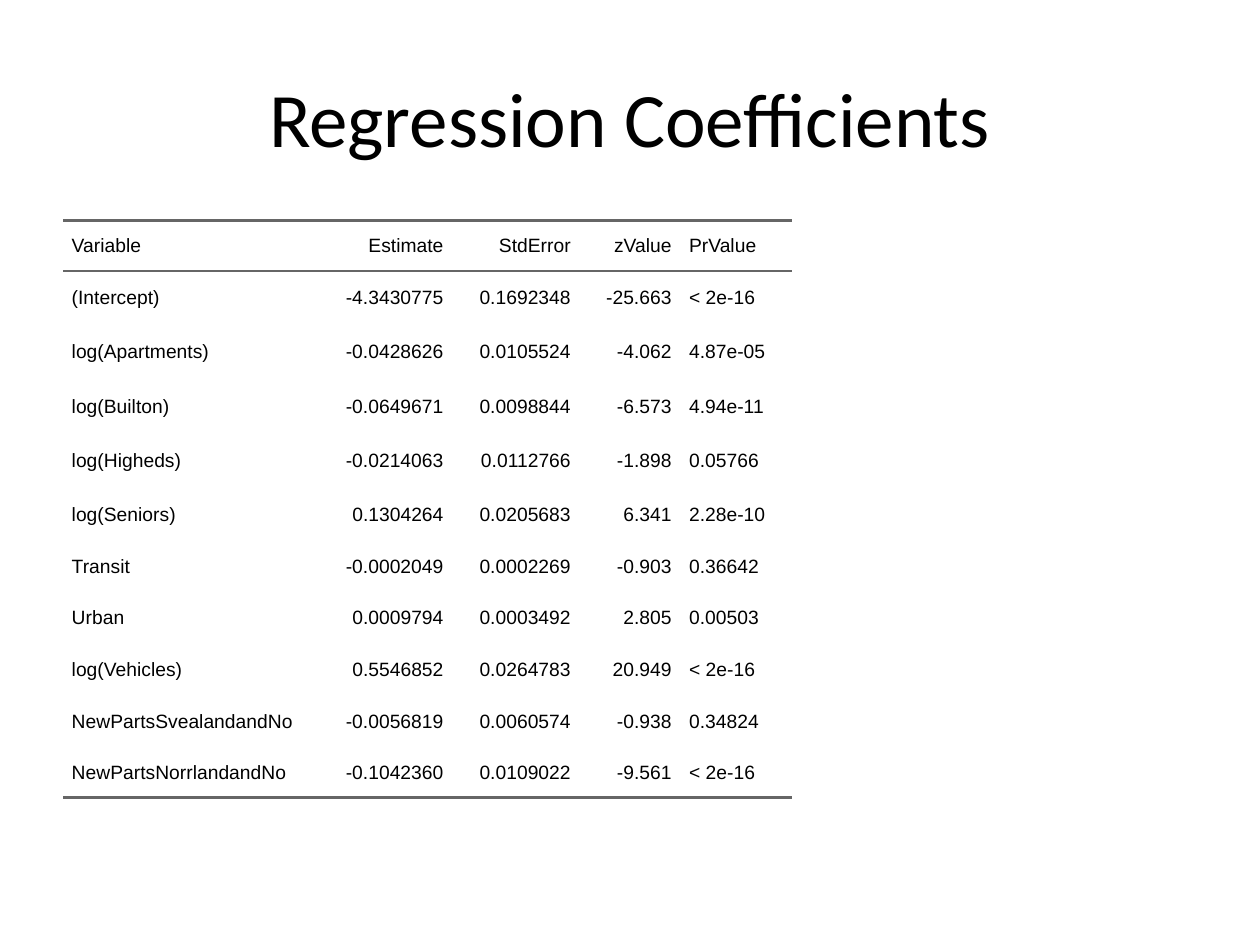
from lxml import etree
from pptx import Presentation
from pptx.dml.color import RGBColor
from pptx.enum.text import MSO_ANCHOR, PP_ALIGN
from pptx.oxml.ns import qn
from pptx.util import Inches, Pt

MIDDLE = MSO_ANCHOR.MIDDLE
LEFT, CENTER, RIGHT = PP_ALIGN.LEFT, PP_ALIGN.CENTER, PP_ALIGN.RIGHT
COLORS = {"text": "000000", "rule": "666666"}
PLAIN_STYLE = "{2D5ABB26-0587-4C30-8999-92F81FD0307C}"
PADDING = Pt(5)
MARGIN = 0.05
COL_WIDTHS = [2.03, 1.06, 1.01, 0.8, 0.89]
ALIGNMENTS = [LEFT, RIGHT, RIGHT, RIGHT, LEFT]
SHORT_ROW, TALL_ROW = 0.4, 0.43
COEFFICIENTS = [
    ["Variable", "Estimate", "StdError", "zValue", "PrValue"],
    ["(Intercept)", "-4.3430775", "0.1692348", "-25.663", "< 2e-16"],
    ["log(Apartments)", "-0.0428626", "0.0105524", "-4.062", "4.87e-05"],
    ["log(Builton)", "-0.0649671", "0.0098844", "-6.573", "4.94e-11"],
    ["log(Higheds)", "-0.0214063", "0.0112766", "-1.898", "0.05766"],
    ["log(Seniors)", "0.1304264", "0.0205683", "6.341", "2.28e-10"],
    ["Transit", "-0.0002049", "0.0002269", "-0.903", "0.36642"],
    ["Urban", "0.0009794", "0.0003492", "2.805", "0.00503"],
    ["log(Vehicles)", "0.5546852", "0.0264783", "20.949", "< 2e-16"],
    ["NewPartsSvealandandNo", "-0.0056819", "0.0060574", "-0.938", "0.34824"],
    ["NewPartsNorrlandandNo", "-0.1042360", "0.0109022", "-9.561", "< 2e-16"],
]


def write(tf, text, font="Arial", size=11, color="text", align=LEFT, padding=0):
    """Write one formatted paragraph into a text frame."""
    p = tf.paragraphs[0]
    p.alignment = align
    if padding:
        p.space_before = p.space_after = padding
        pPr = p._p.get_or_add_pPr()
        for name, value in (("marL", padding), ("marR", padding), ("indent", 0)):
            pPr.set(name, str(int(value)))
    r = p.add_run()
    r.text = text
    r.font.name = font
    r.font.size = Pt(size)
    r.font.color.rgb = RGBColor.from_string(COLORS[color])


def add_rule(cell, side, width=1.5):
    """Draw a rule along one side of a cell."""
    ln = etree.SubElement(cell._tc.get_or_add_tcPr(), qn(f"a:ln{side}"), w=str(int(Pt(width))))
    fill = etree.SubElement(ln, qn("a:solidFill"))
    etree.SubElement(fill, qn("a:srgbClr"), val=COLORS["rule"])


def fill_cell(cell, text, align, sides):
    """Set a cell's text, margins and rules."""
    cell.margin_left = cell.margin_right = 0
    cell.margin_top = cell.margin_bottom = PADDING
    cell.vertical_anchor = MIDDLE
    write(cell.text_frame, text, align=align, padding=PADDING)
    for side in sides:
        add_rule(cell, side)
    cell.fill.background()


def add_title(s, text, width, height):
    """Add the centred slide title."""
    sp = s.shapes.add_textbox(int(width * MARGIN), int(height * 0.04),
                              int(width * (1 - 2 * MARGIN)), Inches(1.25))
    tf = sp.text_frame
    tf.word_wrap = True
    tf.vertical_anchor = MIDDLE
    write(tf, text, font="Calibri", size=44, align=CENTER)


def add_coefficients(s, rows, width):
    """Add the coefficient table with rules at its head and foot."""
    frame = s.shapes.add_table(len(rows), len(COL_WIDTHS), int(width * MARGIN), Inches(1.75),
                               Inches(sum(COL_WIDTHS)), Inches(SHORT_ROW * len(rows)))
    table = frame.table
    table.first_row = table.horz_banding = False
    table._tbl.tblPr.find(qn("a:tableStyleId")).text = PLAIN_STYLE
    for column, col_width in zip(table.columns, COL_WIDTHS):
        column.width = Inches(col_width)
    rules = {0: "TB", len(rows) - 1: "B"}
    for i, values in enumerate(rows):
        tall = "(" in values[0]
        table.rows[i].height = Inches(TALL_ROW if tall else SHORT_ROW)
        for j, (value, align) in enumerate(zip(values, ALIGNMENTS)):
            fill_cell(table.cell(i, j), value, align, rules.get(i, ""))
    frame.width, frame.height = int(width * (1 - 2 * MARGIN)), Inches(4.95)


def main():
    """Build and save the slide."""
    prs = Presentation()
    prs.slide_width, prs.slide_height = Inches(10), Inches(7.5)
    s = prs.slides.add_slide(prs.slide_layouts[6])
    add_title(s, "Regression Coefficients", prs.slide_width, prs.slide_height)
    add_coefficients(s, COEFFICIENTS, prs.slide_width)
    prs.save("out.pptx")


if __name__ == "__main__":
    main()
